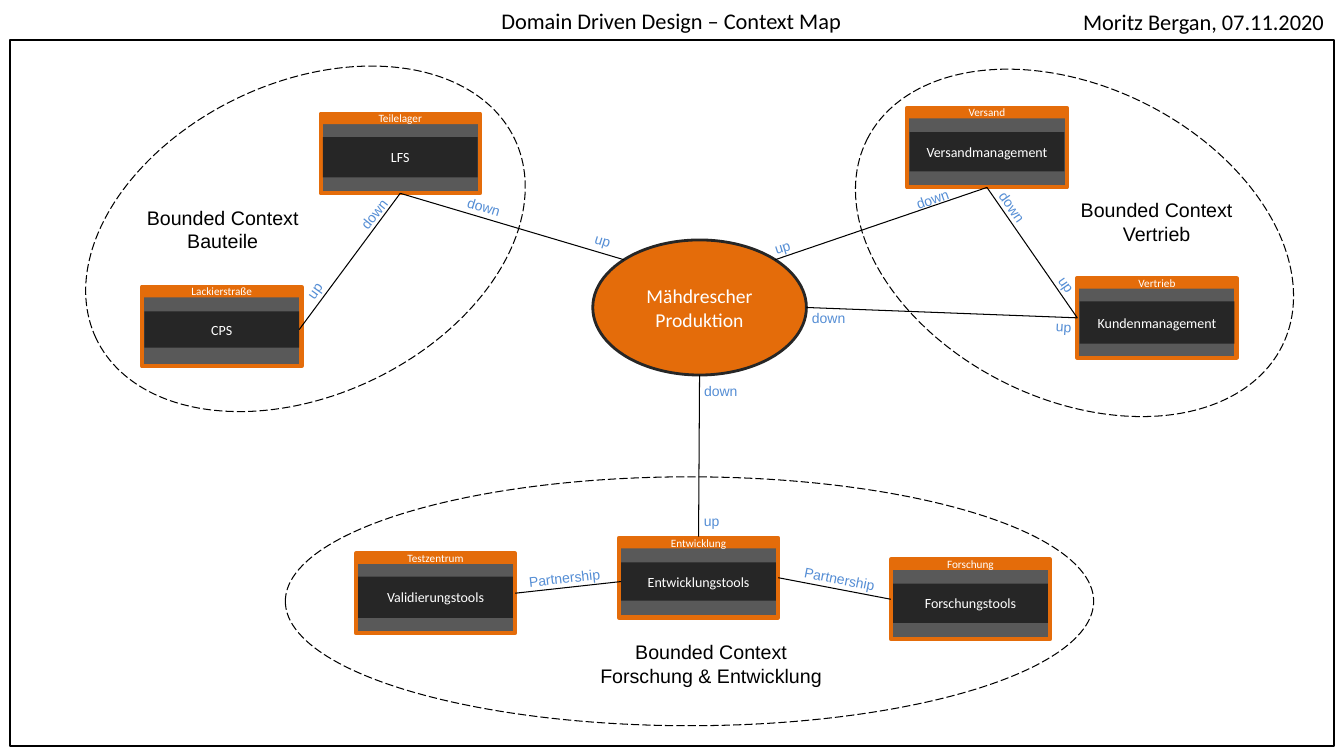
from dataclasses import dataclass
from math import cos, radians, sin

from lxml.etree import SubElement
from pptx import Presentation
from pptx.dml.color import RGBColor
from pptx.enum.dml import MSO_LINE
from pptx.enum.shapes import MSO_CONNECTOR, MSO_SHAPE
from pptx.enum.text import MSO_ANCHOR, PP_ALIGN
from pptx.oxml.ns import qn
from pptx.util import Pt


@dataclass(frozen=True)
class Theme:
    black: str = "000000"
    white: str = "FFFFFF"
    orange: str = "E46C0A"
    grey: str = "595959"
    dark: str = "262626"
    blue: str = "558ED5"
    system_font: str = "Calibri"
    label_font: str = "Arial"
    title_size: float = 16
    heading_size: float = 14
    label_size: float = 10
    header_size: float = 8


THEME = Theme()

# text, left, top
TITLES = [
    ("Domain Driven Design – Context Map", 342.7, 1.4),
    ("Moritz Bergan, 07.11.2020", 722.9, 2.2),
]
BORDER = (7.2, 28.8, 945.4, 504)
PRODUCTION = ("Mähdrescher Produktion", (423.4, 171.4, 152.6, 96.5))

# department: (system, left, top, core offset, core height)
SYSTEMS = {
    "Teilelager": ("LFS", 229, 81.2, 16.7, 28.8),
    "Testzentrum": ("Validierungstools", 254.2, 395.3, 16.6, 29.5),
    "Lackierstraße": ("CPS", 101.5, 204.8, 17.7, 25.9),
    "Vertrieb": ("Kundenmanagement", 769.5, 198.6, 16.6, 30.2),
    "Forschung": ("Forschungstools", 636.3, 399.6, 17.3, 28.1),
    "Entwicklung": ("Entwicklungstools", 442.1, 384.2, 17.5, 27.4),
    "Versand": ("Versandmanagement", 648.1, 77, 17.3, 28.1),
}

# ellipse bounds, rotation, heading lines, heading bounds
CONTEXTS = [
    ((52.6, 59, 331.2, 223.2), 334.5,
     ["Bounded Context", "Bauteile"], (95, 143.3, 128.2, 41)),
    ((601.9, 61.9, 331.2, 223.2), 26.3,
     ["Bounded Context", "Vertrieb"], (759.6, 138.2, 133.2, 41)),
    ((203.8, 340.6, 577.4, 177.8), 0,
     ["Bounded Context", "Forschung & Entwicklung"], (420.5, 453.6, 175, 41)),
]

TOP, LEFT, BOTTOM, RIGHT = range(4)
# department, part, side, angle on the production ellipse
PRODUCTION_LINKS = [
    ("Teilelager", "frame", BOTTOM, 225),
    ("Versand", "frame", BOTTOM, 315),
    ("Vertrieb", "frame", LEFT, 0),
    ("Entwicklung", "header", TOP, 90),
]
# two ends, each: department, part, side
SYSTEM_LINKS = [
    (("Teilelager", "frame", BOTTOM), ("Lackierstraße", "core", RIGHT)),
    (("Versand", "frame", BOTTOM), ("Vertrieb", "frame", LEFT)),
    (("Entwicklung", "core", LEFT), ("Testzentrum", "frame", RIGHT)),
    (("Entwicklung", "frame", RIGHT), ("Forschung", "frame", LEFT)),
]

LABEL_WIDTHS = {"up": 39, "down": 39, "Partnership": 87.8}
LABEL_HEIGHT = 19.4
# text, left, top, rotation
LABELS = [
    ("up", 205.2, 198, 305.5), ("down", 247.7, 143.3, 308.5),
    ("up", 411.1, 162, 17.2), ("down", 326.2, 138.2, 16.9),
    ("down", 572.4, 217.4, 0), ("up", 740.2, 223.9, 3.2),
    ("down", 703.4, 138.2, 54.9), ("up", 742.3, 193.7, 55.1),
    ("down", 495.4, 270, 0), ("up", 488.9, 362.2, 0),
    ("down", 646.6, 132.5, 340.5), ("up", 539.3, 167, 342.6),
    ("Partnership", 555.8, 403.9, 11.2), ("Partnership", 359.3, 403.2, 353.8),
]

FRAME_WIDTH, FRAME_HEIGHT = 113.8, 56.9
HEADER_HEIGHT, HEADER_RISE, CORE_INSET = 8.4, 0.8, 1.6

deck = Presentation()
deck.slide_width, deck.slide_height = Pt(960), Pt(540)
page = deck.slides.add_slide(deck.slide_layouts[6])


def color(value):
    return RGBColor.from_string(value)


def write(box, *lines, font=THEME.system_font, size=THEME.label_size,
          ink=THEME.white, anchor=MSO_ANCHOR.MIDDLE, wrap=True):
    frame = box.text_frame
    frame.word_wrap, frame.vertical_anchor = wrap, anchor
    for index, line in enumerate(lines):
        para = frame.add_paragraph() if index else frame.paragraphs[0]
        para.alignment = PP_ALIGN.CENTER
        span = para.add_run()
        span.text = line
        span.font.name, span.font.size = font, Pt(size)
        span.font.color.rgb = color(ink)


def add_text(bounds, *lines, rotation=0, **style):
    box = page.shapes.add_textbox(*map(Pt, bounds))
    box.rotation = rotation
    write(box, *lines, anchor=MSO_ANCHOR.TOP, **style)


def add_block(kind, bounds, fill=None, line=None, weight=0.75, dash=None, rotation=0):
    block = page.shapes.add_shape(kind, *map(Pt, bounds))
    block.shadow.inherit = False
    block.rotation = rotation
    if fill:
        block.fill.solid()
        block.fill.fore_color.rgb = color(fill)
    else:
        block.fill.background()
    if line:
        block.line.color.rgb = color(line)
        block.line.width = Pt(weight)
        block.line.dash_style = dash
    else:
        block.line.fill.background()
    return block


def add_system(department, system, left, top, core_offset, core_height):
    """Draw one system and return its parts by name."""
    rect = MSO_SHAPE.RECTANGLE
    frame = add_block(rect, (left, top, FRAME_WIDTH, FRAME_HEIGHT),
                      fill=THEME.grey, line=THEME.orange, weight=3)
    header = add_block(rect, (left, top - HEADER_RISE, FRAME_WIDTH, HEADER_HEIGHT),
                       fill=THEME.orange)
    write(header, department, size=THEME.header_size)
    core = add_block(rect, (left + CORE_INSET, top + core_offset,
                            FRAME_WIDTH - 2 * CORE_INSET, core_height), fill=THEME.dark)
    write(core, system)
    return {"frame": frame, "header": header, "core": core}


def add_link(start, end=None, point=(0, 0)):
    """Join start to another block side, or to a free point."""
    x, y = map(Pt, point)
    link = page.shapes.add_connector(MSO_CONNECTOR.STRAIGHT, x, y, x, y)
    link.begin_connect(*start)
    if end:
        link.end_connect(*end)
    link.line.color.rgb = color(THEME.black)
    link.line.width = Pt(0.75)
    SubElement(link._element.spPr, qn("a:effectLst"))


add_block(MSO_SHAPE.RECTANGLE, BORDER, line=THEME.black, weight=1.5)
for title, left, top in TITLES:
    add_text((left, top, 273.6, 26), title, size=THEME.title_size, ink=THEME.black, wrap=False)

production_name, production_bounds = PRODUCTION
production = add_block(MSO_SHAPE.OVAL, production_bounds,
                       fill=THEME.orange, line=THEME.dark, weight=2)
write(production, production_name, size=THEME.heading_size)

parts = {name: add_system(name, *system) for name, system in SYSTEMS.items()}

left, top, width, height = production_bounds
for department, part, side, angle in PRODUCTION_LINKS:
    rim = (left + width / 2 * (1 + cos(radians(angle))),
           top + height / 2 * (1 + sin(radians(angle))))
    add_link((parts[department][part], side), point=rim)
for ends in SYSTEM_LINKS:
    add_link(*((parts[department][part], side) for department, part, side in ends))

for bounds, rotation, heading, heading_bounds in CONTEXTS:
    add_block(MSO_SHAPE.OVAL, bounds, line=THEME.black, dash=MSO_LINE.LONG_DASH, rotation=rotation)
    add_text(heading_bounds, *heading, font=THEME.label_font,
             size=THEME.heading_size, ink=THEME.black)
for label, left, top, rotation in LABELS:
    add_text((left, top, LABEL_WIDTHS[label], LABEL_HEIGHT), label,
             rotation=rotation, font=THEME.label_font, ink=THEME.blue)

deck.save("out.pptx")
